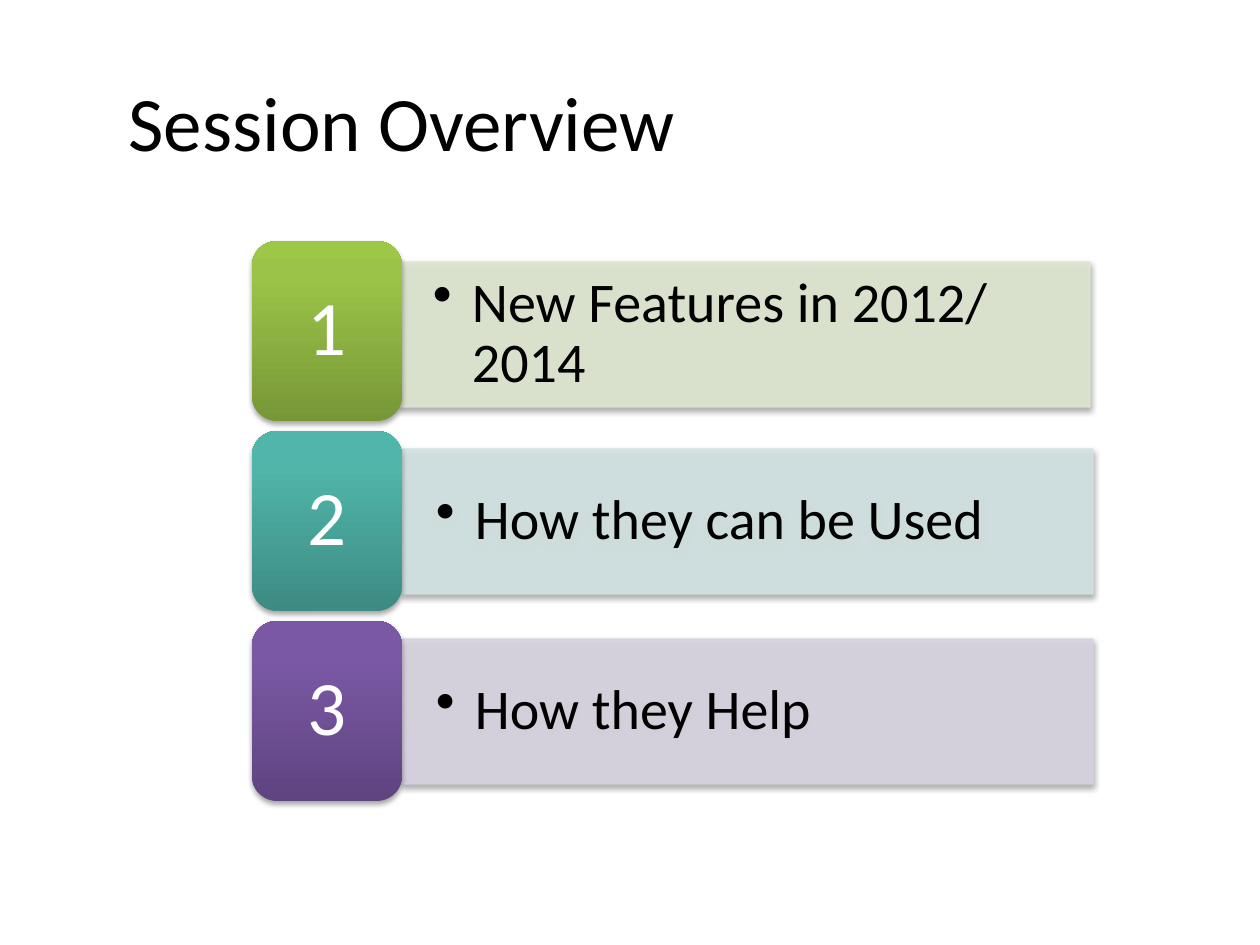
from lxml import etree
from pptx import Presentation
from pptx.dml.color import RGBColor
from pptx.enum.shapes import MSO_SHAPE
from pptx.enum.text import MSO_ANCHOR, PP_ALIGN
from pptx.oxml import parse_xml
from pptx.oxml.ns import nsdecls, qn
from pptx.util import Emu, Pt

RECTANGLE = MSO_SHAPE.RECTANGLE
ROUNDED = MSO_SHAPE.ROUNDED_RECTANGLE
MIDDLE = MSO_ANCHOR.MIDDLE
LEFT = PP_ALIGN.LEFT
CENTER = PP_ALIGN.CENTER
SCALE = 914400 // 126
TITLE_ONLY = 5
TOPICS = [
    ("New Features in 2012/ 2014", "DEE7D1", ("779737", "9BC348", "9DC746"), (399, 262)),
    ("How they can be Used", "D2E3E2", ("3D8B83", "50B5AA", "4EB8AC"), (402, 449)),
    ("How they Help", "D8D3E0", ("5F4480", "7B58A6", "7C57A8"), (402, 639)),
]


def pixels(value):
    """Turn pixels into EMU."""
    return Emu(value * SCALE)


def color(value):
    """Turn a hex string into a colour."""
    return RGBColor.from_string(value)


def set_values(target, values):
    """Set attributes from a dict."""
    for name, value in values.items():
        setattr(target, name, value)


def place(shape, left, top, width, height):
    """Move and size a shape."""
    names = ("left", "top", "width", "height")
    set_values(shape, dict(zip(names, map(pixels, (left, top, width, height)))))


def write(shape, text, size, ink, alignment, margins=None, spacing=1.0):
    """Write one formatted paragraph and return it."""
    frame = shape.text_frame
    frame.text = text
    set_values(frame, {"word_wrap": True, "vertical_anchor": MIDDLE})
    if margins:
        horizontal, vertical = map(pixels, margins)
        set_values(frame, {"margin_left": horizontal, "margin_right": horizontal,
                           "margin_top": vertical, "margin_bottom": vertical})
    paragraph = frame.paragraphs[0]
    set_values(paragraph, {"alignment": alignment, "line_spacing": spacing})
    font = paragraph.runs[0].font
    set_values(font, {"size": Pt(size), "name": "Calibri"})
    font.color.rgb = color(ink)
    return paragraph


def add_shadow(shape):
    """Give a shape a soft shadow below it."""
    shape.shadow.inherit = False
    effects = shape._element.spPr.find(qn("a:effectLst"))
    effects.append(parse_xml(
        f'<a:outerShdw {nsdecls("a")} blurRad="40000" dist="23000" dir="5400000" '
        'rotWithShape="0"><a:srgbClr val="000000"><a:alpha val="35000"/>'
        '</a:srgbClr></a:outerShdw>'))


def add_bullet(paragraph, indent):
    """Give a paragraph a hanging bullet."""
    properties = paragraph._p.get_or_add_pPr()
    properties.set("marL", str(pixels(indent)))
    properties.set("indent", str(-pixels(indent)))
    etree.SubElement(properties, qn("a:buChar")).set("char", "•")


def add_bar(slide, text, tint, left, top):
    """Add a translucent bar with a bulleted topic."""
    bar = slide.shapes.add_shape(RECTANGLE, 0, 0, 0, 0)
    place(bar, left, top, 691, 145)
    bar.fill.solid()
    bar.fill.fore_color.rgb = color(tint)
    bar.line.color.rgb = color(tint)
    bar.line.width = Pt(0.75)
    for swatch in bar._element.spPr.iter(qn("a:srgbClr")):
        etree.SubElement(swatch, qn("a:alpha")).set("val", "90000")
    add_shadow(bar)
    add_bullet(write(bar, text, 32, "000000", LEFT, (34, 18), 0.9), 39)


def add_tile(slide, number, shades, top):
    """Add a rounded gradient tile with a number."""
    tile = slide.shapes.add_shape(ROUNDED, 0, 0, 0, 0)
    place(tile, 252, top, 150, 180)
    stops = "".join(f'<a:gs pos="{position}"><a:srgbClr val="{shade}"/></a:gs>'
                    for position, shade in zip((0, 80000, 100000), shades))
    tile._element.spPr.insert(2, parse_xml(
        f'<a:gradFill {nsdecls("a")} rotWithShape="1"><a:gsLst>{stops}</a:gsLst>'
        '<a:lin ang="16200000" scaled="0"/></a:gradFill>'))
    tile.line.fill.background()
    add_shadow(tile)
    write(tile, str(number), 44, "FFFFFF", CENTER, (23, 11), 0.9)


def main():
    """Build the session overview slide."""
    presentation = Presentation()
    set_values(presentation, {"slide_width": pixels(1260), "slide_height": pixels(945)})
    slide = presentation.slides.add_slide(presentation.slide_layouts[TITLE_ONLY])
    title = slide.shapes.title
    place(title, 116, 42, 1113, 157)
    write(title, "Session Overview", 44, "000000", LEFT)
    for index, (text, tint, shades, corner) in enumerate(TOPICS):
        add_bar(slide, text, tint, *corner)
        add_tile(slide, index + 1, shades, 241 + 190 * index)
    presentation.save("out.pptx")


main()
